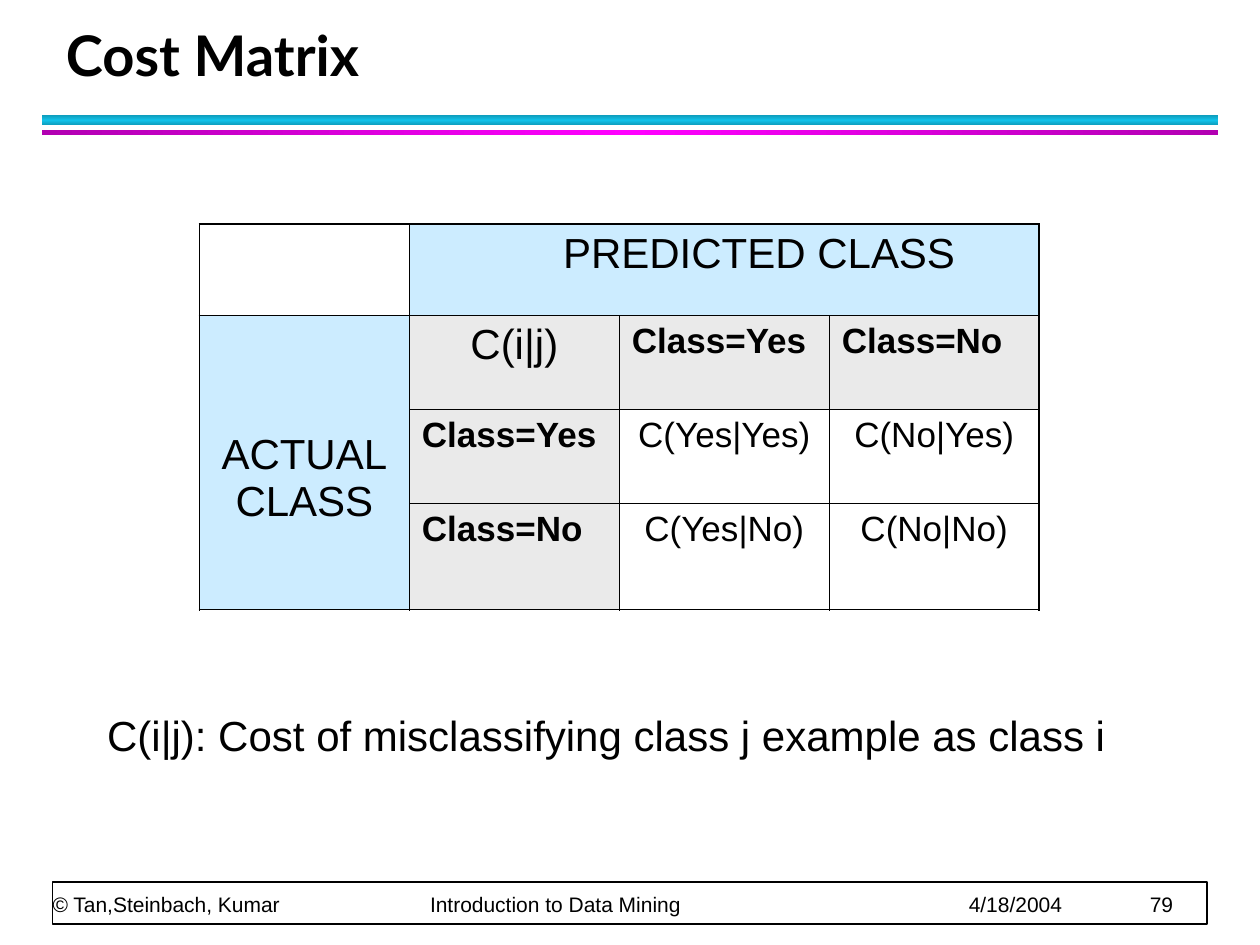
from lxml import etree
from pptx import Presentation
from pptx.dml.color import RGBColor
from pptx.enum import shapes, text
from pptx.oxml import ns
from pptx.util import Cm, Pt

BLACK, WHITE, BLUE, GREY = "000000", "FFFFFF", "CCECFF", "EAEAEA"
MID = text.PP_ALIGN.CENTER


def color(code):
    return RGBColor.from_string(code)


def style(para, size, face="Arial", bold=False):
    font = para.font
    font.size, font.name, font.bold = Pt(size), face, bold
    font.color.rgb = color(BLACK)


def label(slide, box, words, size, face="Arial", bold=False, line=None,
          low=False, inset=(0.25, 0.13), stops=()):
    frame = slide.shapes.add_textbox(*map(Cm, box)).text_frame
    frame.word_wrap = True
    frame.margin_left = frame.margin_right = Cm(inset[0])
    frame.margin_top = frame.margin_bottom = Cm(inset[1])
    if low:
        frame.vertical_anchor = text.MSO_ANCHOR.BOTTOM
    para = frame.paragraphs[0]
    para.text = words
    if line:
        para.line_spacing = Pt(line)
    if stops:
        tabs = etree.SubElement(para._p.get_or_add_pPr(), ns.qn("a:tabLst"))
        for stop in stops:
            etree.SubElement(tabs, ns.qn("a:tab"), pos=str(Cm(stop)), algn="l")
    style(para, size, face, bold)


def block(slide, box):
    shape = slide.shapes.add_shape(shapes.MSO_SHAPE.RECTANGLE, *map(Cm, box))
    shape.shadow.inherit = False
    return shape


def stripe(slide, box, edge, core, angle):
    bar = block(slide, box)
    bar.line.fill.background()
    bar.fill.gradient()
    bar.fill.gradient_angle = angle
    stops = bar.fill._fill._gradFill.find(ns.qn("a:gsLst"))
    for old in list(stops):
        stops.remove(old)
    for place, code in ((0, edge), (50, core), (100, edge)):
        stop = etree.SubElement(stops, ns.qn("a:gs"), pos=str(place * 1000))
        etree.SubElement(stop, ns.qn("a:srgbClr"), val=code)


def header(slide, left, top, width):
    label(slide, (left + 0.23, top, width - 0.69, 1.47), "Cost Matrix", 32,
          "Lato", True, line=36, low=True)
    stripe(slide, (left, top + 1.9, width, 0.21), "0E9BBA", "12C2E9", 90)
    stripe(slide, (left, top + 2.21, width, 0.1), "B200B2", "FF00FF", 0)


def border(cell, outer):
    props = cell._tc.get_or_add_tcPr()
    for side in "LRTB":
        width = Pt(1.08 if side in outer else 0.45)
        line = etree.SubElement(props, ns.qn("a:ln" + side), w=str(width))
        fill = etree.SubElement(line, ns.qn("a:solidFill"))
        etree.SubElement(fill, ns.qn("a:srgbClr"), val=BLACK)


def matrix(slide, left, top, width, heights):
    rows = [["", "PREDICTED CLASS", "", ""],
            ["ACTUAL\vCLASS", "C(i|j)", "Class=Yes", "Class=No"],
            ["", "Class=Yes", "C(Yes|Yes)", "C(No|Yes)"],
            ["", "Class=No", "C(Yes|No)", "C(No|No)"]]
    last = len(rows) - 1
    grid = slide.shapes.add_table(4, 4, *map(Cm, (left, top, width, sum(heights)))).table
    grid.first_row = grid.horz_banding = False
    for row, height in zip(grid.rows, heights):
        row.height = Cm(height)
    for col in grid.columns:
        col.width = Cm(width / 4)
    grid.cell(0, 1).merge(grid.cell(0, last))
    grid.cell(1, 0).merge(grid.cell(last, 0))
    for r, row in enumerate(rows):
        for c, words in enumerate(row):
            cell = grid.cell(r, c)
            right = c + (cell.span_width if cell.is_merge_origin else 1) - 1
            low = r + (cell.span_height if cell.is_merge_origin else 1) - 1
            outer = [side for side, hit in zip(
                "LRTB", (c == 0, right == last, r == 0, low == last)) if hit]
            border(cell, outer)
            axis = (r == 0) != (c == 0)
            head = r > 0 and c > 0 and (r == 1 or c == 1)
            if axis or head:
                cell.fill.solid()
                cell.fill.fore_color.rgb = color(BLUE if axis else GREY)
            else:
                cell.fill.background()
            if not words:
                continue
            cell.text = words
            para = cell.text_frame.paragraphs[0]
            para.space_after = Pt(4)
            bold = head and r != c
            if not bold:
                para.alignment = MID
            style(para, 24 if axis or r == c == 1 else 20, bold=bold)
    grid.cell(0, 1).margin_left = Cm(1.66)
    side = grid.cell(1, 0)
    side.vertical_anchor = text.MSO_ANCHOR.MIDDLE
    side.margin_top = Cm(0.75)


def footer(slide, left, top, width):
    frame = block(slide, (left, top, width, 0.85))
    frame.fill.solid()
    frame.fill.fore_color.rgb = color(WHITE)
    frame.line.color.rgb = color(BLACK)
    frame.line.width = Pt(1)
    words = "\t".join(("© Tan,Steinbach, Kumar", "Introduction to Data Mining",
                       "4/18/2004", "79"))
    label(slide, (left, top - 0.71, width, 1.42), words, 12, line=20, low=True,
          inset=(0, 0), stops=(7.61, 18.47, 22.12))


def main():
    deck = Presentation()
    deck.slide_width, deck.slide_height = Cm(25.4), Cm(19.05)
    slide = deck.slides.add_slide(deck.slide_layouts[6])
    header(slide, 0.85, 0.42, 23.71)
    matrix(slide, 4.02, 4.52, 16.93, (1.84, 1.9, 1.88, 2.15))
    label(slide, (1.91, 14.18, 21.8, 2.54),
          "C(i|j): Cost of misclassifying class j example as class i", 24)
    footer(slide, 1.06, 17.78, 23.28)
    deck.save("out.pptx")


if __name__ == "__main__":
    main()
